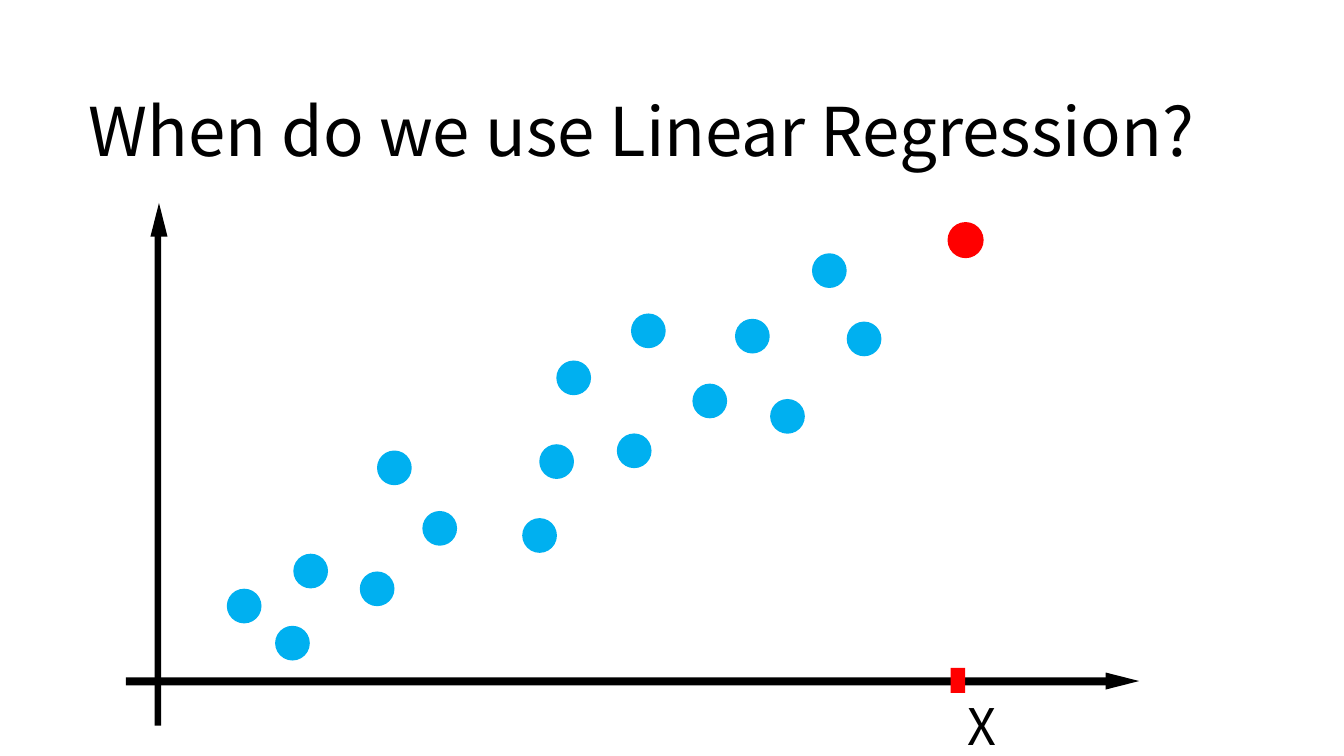
from pptx import Presentation
from pptx.dml.color import RGBColor
from pptx.enum.shapes import MSO_SHAPE as SHAPE
from pptx.enum.text import MSO_AUTO_SIZE as FIT, PP_ALIGN as ALIGN
from pptx.util import Pt

THEME = {
    "font": "Noto Sans CJK KR",
    "title": 48,
    "label": 36,
    "ink": RGBColor(0x00, 0x00, 0x00),
    "data": RGBColor(0x00, 0xB0, 0xF0),
    "query": RGBColor(0xFF, 0x00, 0x00),
}
DOT = 24.8

prs = Presentation()
prs.slide_width, prs.slide_height = Pt(960), Pt(540)
s = prs.slides.add_slide(prs.slide_layouts[6])


def add_mark(kind, left, top, width, height, color, rotation=0):
    sp = s.shapes.add_shape(kind, Pt(left), Pt(top), Pt(width), Pt(height))
    sp.shadow.inherit = False
    sp.fill.solid()
    sp.fill.fore_color.rgb = THEME[color]
    sp.line.fill.background()
    sp.rotation = rotation
    return sp


def add_text(text, left, top, width, height, size):
    sp = s.shapes.add_textbox(Pt(left), Pt(top), Pt(width), Pt(height))
    tf = sp.text_frame
    tf.word_wrap = True
    tf.auto_size = FIT.SHAPE_TO_FIT_TEXT
    p = tf.paragraphs[0]
    p.alignment = ALIGN.CENTER
    r = p.add_run()
    r.text = text
    for name, value in {"name": THEME["font"], "size": Pt(THEME[size])}.items():
        setattr(r.font, name, value)
    r.font.color.rgb = THEME["ink"]


# Title
add_text("When do we use Linear Regression?", 48.2, 60.5, 820.1, 65.5, "title")

# Axes: shaft and head of each
add_mark(SHAPE.RECTANGLE, 110.4, 157.7, 4.8, 360.7, "ink")
add_mark(SHAPE.ISOSCELES_TRIANGLE, 107.5, 145, 12.2, 24, "ink")
add_mark(SHAPE.RECTANGLE, 90, 483.8, 700, 5.8, "ink")
add_mark(SHAPE.ISOSCELES_TRIANGLE, 795.6, 474.5, 12.2, 24, "ink", 90)

# Observed data points: left, top
points = [
    (162, 420.5), (196.5, 447), (209.5, 395.5), (257, 408.2),
    (269.3, 321.8), (301.7, 365), (373, 370.1), (385.2, 317.3),
    (397.4, 257.5), (440.6, 309.6), (494.6, 274), (450.7, 223.9),
    (550.1, 285), (604.8, 229.7), (525, 227.7), (580, 180.9),
]
for left, top in points:
    add_mark(SHAPE.OVAL, left, top, DOT, DOT, "data")

# Value to predict: tick on the axis, label and point
add_mark(SHAPE.RECTANGLE, 679, 477, 10.4, 18, "query")
add_text("X", 674.6, 493.2, 53.3, 51.1, "label")
query_point = add_mark(SHAPE.OVAL, 677.3, 159.1, DOT, DOT, "query")
query_point.line.color.rgb = THEME["query"]
query_point.line.width = Pt(1)

prs.save("out.pptx")
